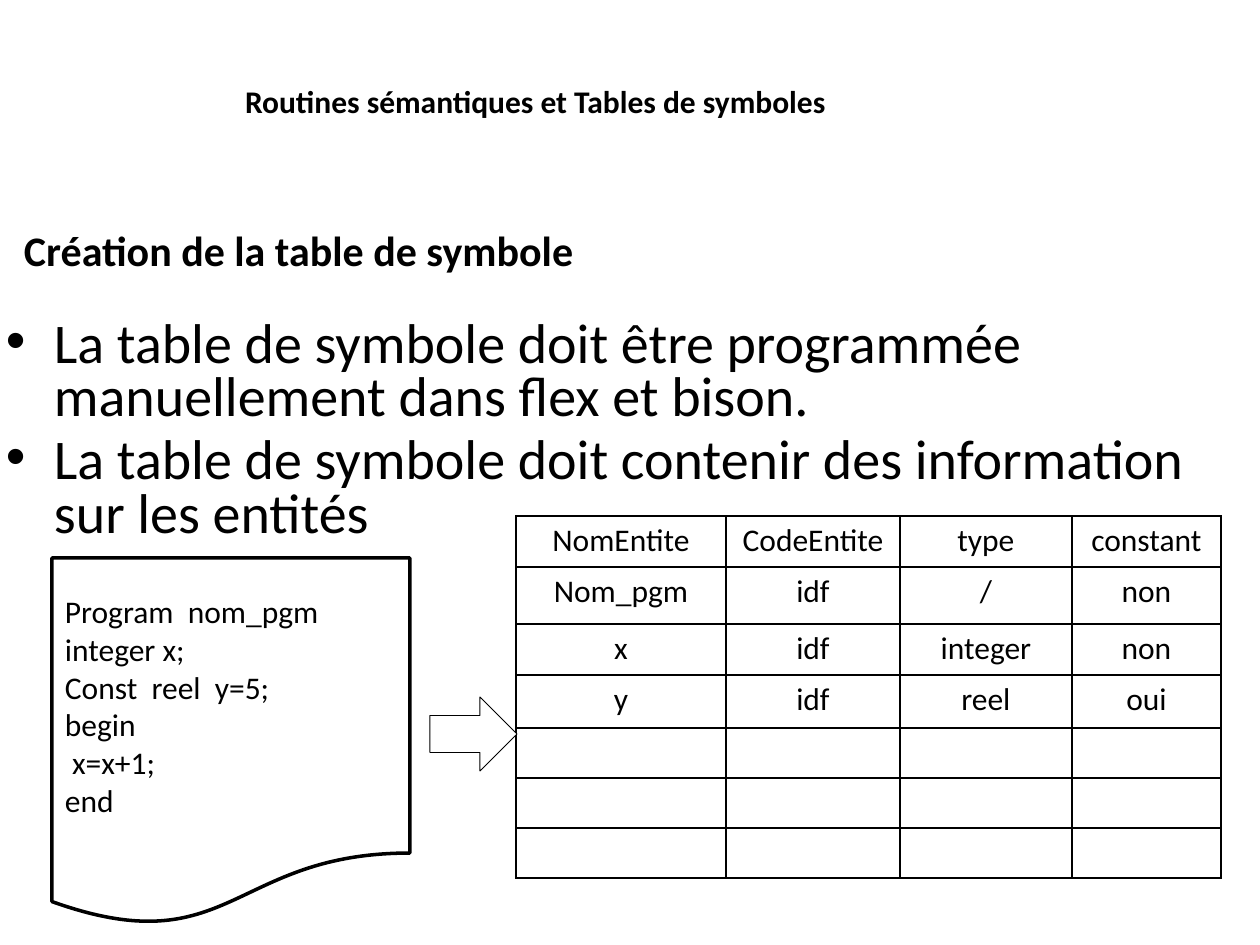
from dataclasses import dataclass

from lxml import etree
from pptx import Presentation
from pptx.dml.color import RGBColor
from pptx.enum.shapes import MSO_SHAPE
from pptx.enum.text import MSO_ANCHOR, PP_ALIGN
from pptx.oxml.ns import qn
from pptx.util import Emu, Pt

PX = 914400 / 126
FONT = "Calibri"
BLACK = RGBColor(0x00, 0x00, 0x00)
WHITE = RGBColor(0xFF, 0xFF, 0xFF)
TOP, MIDDLE = MSO_ANCHOR.TOP, MSO_ANCHOR.MIDDLE
LEFT, CENTER = PP_ALIGN.LEFT, PP_ALIGN.CENTER
DOCUMENT, ARROW = MSO_SHAPE.FLOWCHART_DOCUMENT, MSO_SHAPE.RIGHT_ARROW
INSET = 6
INDENT = 48


def px(n: int) -> Emu:
    return Emu(round(n * PX))


@dataclass
class TextBlock:
    left: int
    top: int
    width: int
    height: int
    lines: list[str]
    size: int
    bold: bool = False
    anchor: MSO_ANCHOR = TOP
    bullets: bool = False


@dataclass
class Outline:
    kind: MSO_SHAPE
    left: int
    top: int
    width: int
    height: int
    weight: float


TEXTS = [
    TextBlock(239, 76, 801, 45, ["Routines sémantiques et Tables de symboles"], 18, bold=True),
    TextBlock(18, 195, 1245, 110, ["Création de la table de symbole"], 24, bold=True, anchor=MIDDLE),
    TextBlock(0, 314, 1245, 195, [
        "La table de symbole doit être programmée manuellement dans flex et bison.",
        "La table de symbole doit contenir des information sur les entités",
    ], 32, bullets=True),
]
DOCUMENT_SHEET = Outline(DOCUMENT, 52, 558, 358, 368, 2)
PROGRAM = TextBlock(59, 562, 341, 287, [
    "Program  nom_pgm",
    "integer x;",
    "Const  reel  y=5;",
    "begin",
    " x=x+1;",
    "end",
], 18, anchor=MIDDLE)
TABLE_ARROW = Outline(ARROW, 430, 697, 87, 74, 0.5)

TABLE_LEFT, TABLE_TOP = 516, 516
COLUMN_WIDTHS = [210, 174, 172, 149]
ROW_HEIGHTS = [51, 57, 51, 53, 50, 50, 50]
SYMBOLS = [
    ["NomEntite", "CodeEntite", "type", "constant"],
    ["Nom_pgm", "idf", "/", "non"],
    ["x", "idf", "integer", "non"],
    ["y", "idf", "reel", "oui"],
]


def format_paragraph(p, size: int, bold: bool = False, align: PP_ALIGN = LEFT) -> None:
    p.alignment = align
    for r in p.runs:
        r.font.name = FONT
        r.font.size = Pt(size)
        r.font.bold = bold
        r.font.color.rgb = BLACK


def add_bullet(p) -> None:
    p.line_spacing = 0.8
    p.space_before = Pt(5)
    pPr = p._p.get_or_add_pPr()
    pPr.set("marL", str(px(INDENT)))
    pPr.set("indent", str(-px(INDENT)))
    etree.SubElement(pPr, qn("a:buFont")).set("typeface", "Arial")
    etree.SubElement(pPr, qn("a:buChar")).set("char", "•")


def add_text(slide, block: TextBlock) -> None:
    box = slide.shapes.add_textbox(px(block.left), px(block.top), px(block.width), px(block.height))
    tf = box.text_frame
    tf.word_wrap = True
    tf.vertical_anchor = block.anchor
    tf.margin_left = tf.margin_right = tf.margin_top = tf.margin_bottom = px(INSET)
    tf.text = "\n".join(block.lines)
    for p in tf.paragraphs:
        format_paragraph(p, block.size, block.bold)
        if block.bullets:
            add_bullet(p)


def add_outline(slide, item: Outline) -> None:
    sp = slide.shapes.add_shape(item.kind, px(item.left), px(item.top), px(item.width), px(item.height))
    sp.shadow.inherit = False
    sp.fill.solid()
    sp.fill.fore_color.rgb = WHITE
    sp.line.color.rgb = BLACK
    sp.line.width = Pt(item.weight)


def add_borders(cell) -> None:
    tcPr = cell._tc.get_or_add_tcPr()
    for i, side in enumerate(("a:lnL", "a:lnR", "a:lnT", "a:lnB")):
        ln = etree.Element(qn(side), w=str(Pt(1)))
        fill = etree.SubElement(ln, qn("a:solidFill"))
        etree.SubElement(fill, qn("a:srgbClr")).set("val", str(BLACK))
        tcPr.insert(i, ln)


def add_symbol_table(slide) -> None:
    frame = slide.shapes.add_table(
        len(ROW_HEIGHTS), len(COLUMN_WIDTHS), px(TABLE_LEFT), px(TABLE_TOP),
        px(sum(COLUMN_WIDTHS)), px(sum(ROW_HEIGHTS)))
    table = frame.table
    table.first_row = table.horz_banding = False
    for column, width in zip(table.columns, COLUMN_WIDTHS):
        column.width = px(width)
    for row, height in zip(table.rows, ROW_HEIGHTS):
        row.height = px(height)
    for cell in table.iter_cells():
        cell.margin_left = cell.margin_right = cell.margin_top = cell.margin_bottom = px(INSET)
        cell.fill.background()
        add_borders(cell)
    for i, values in enumerate(SYMBOLS):
        for j, value in enumerate(values):
            tf = table.cell(i, j).text_frame
            tf.text = value
            format_paragraph(tf.paragraphs[0], 18, align=CENTER)


def main() -> None:
    prs = Presentation()
    prs.slide_width, prs.slide_height = px(1260), px(945)
    slide = prs.slides.add_slide(prs.slide_layouts[6])

    # Headings and bullets
    for block in TEXTS:
        add_text(slide, block)

    # Symbol table
    add_symbol_table(slide)

    # Source program and the arrow to its table
    add_outline(slide, DOCUMENT_SHEET)
    add_text(slide, PROGRAM)
    add_outline(slide, TABLE_ARROW)

    prs.save("out.pptx")


if __name__ == "__main__":
    main()
